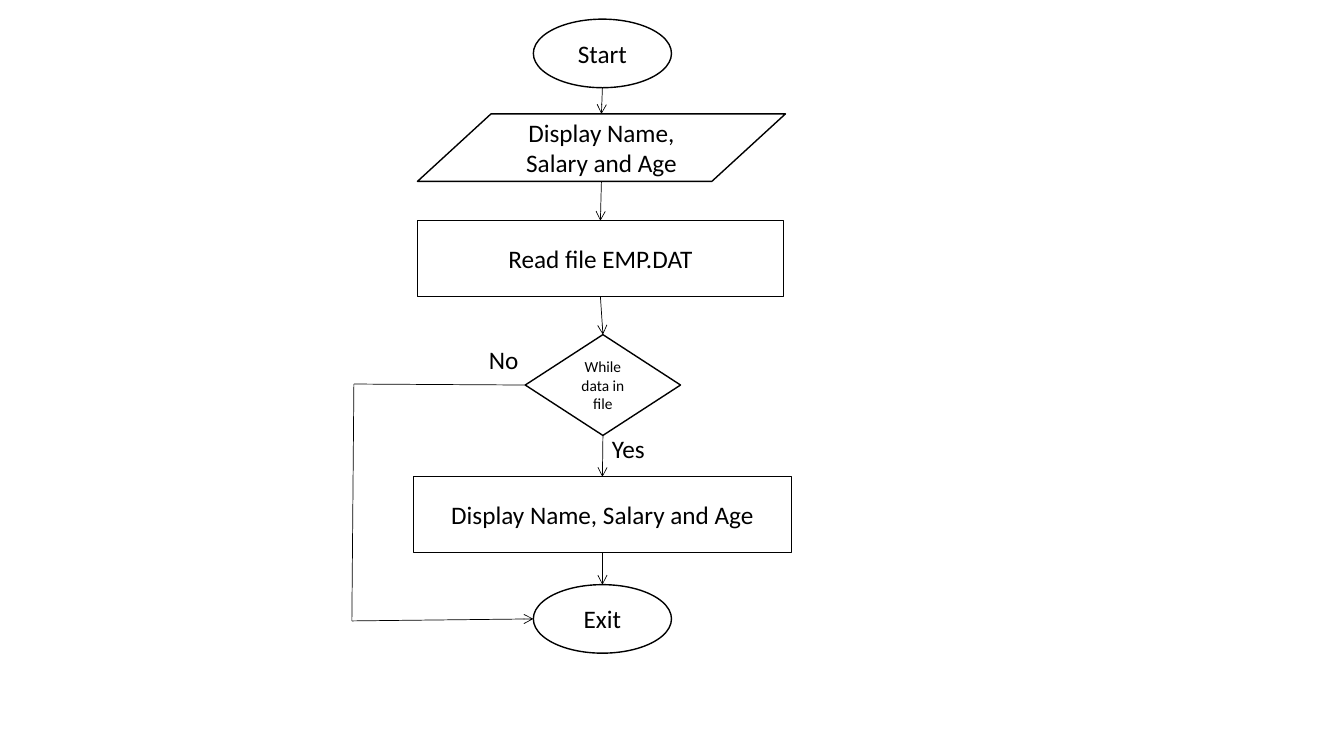
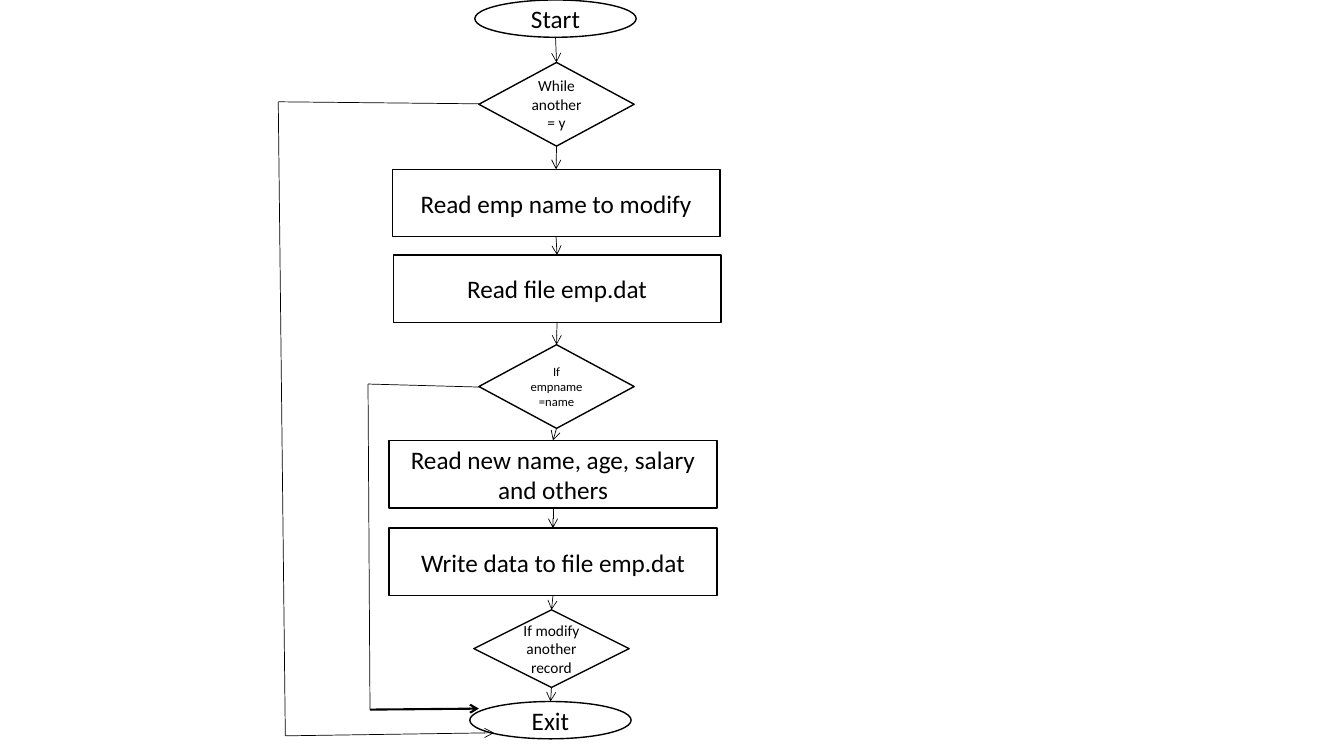
import itertools

import pptx
import pptx.dml.color
import pptx.enum.shapes
import pptx.enum.text
import pptx.oxml.ns
import pptx.util
from lxml import etree

PX = 9144
SLIDE_SIZE = (1333, 750)
BLACK = pptx.dml.color.RGBColor(0, 0, 0)
WHITE = pptx.dml.color.RGBColor(255, 255, 255)
FONT = "Calibri"
TEXT_SIZE = 18
OUTLINE, THIN, THICK = 1, 0.5, 1.5

SHAPES = pptx.enum.shapes.MSO_SHAPE
TERMINAL = SHAPES.OVAL
DATA = SHAPES.FLOWCHART_DATA
PROCESS = SHAPES.RECTANGLE
DECISION = SHAPES.DIAMOND

CHARTS = [
    {
        "steps": [
            (TERMINAL, "Start", 18, (529, 19, 137, 68)),
            (DATA, "Display Name, Salary and Age", 18, (414, 113, 365, 67)),
            (PROCESS, "Read file EMP.DAT", 18, (414, 219, 363, 75)),
            (DECISION, "While data in file", 11, (521, 332, 154, 100)),
            (PROCESS, "Display Name, Salary and Age", 18, (410, 473, 375, 75)),
            (TERMINAL, "Exit", 18, (529, 580, 137, 68)),
        ],
        "bypasses": [
            ([(521, 382), (351, 381), (349, 616), (529, 614)], THIN),
        ],
        "labels": [("No", (475, 337, 50, 40)), ("Yes", (597, 425, 53, 40))],
    },
    {
        "steps": [
            (TERMINAL, "Start", 18, (471, 0, 160, 37)),
            (DECISION, "While another = y", 11, (475, 62, 154, 83)),
            (PROCESS, "Read emp name to modify", 18, (389, 168, 325, 67)),
            (PROCESS, "Read file emp.dat", 18, (390, 253, 325, 67)),
            (DECISION, "If empname=name", 9, (475, 342, 154, 83)),
            (PROCESS, "Read new name, age, salary and others", 18, (386, 437, 325, 67)),
            (PROCESS, "Write data to file emp.dat", 18, (386, 524, 325, 67)),
            (DECISION, "If modify another record", 11, (470, 605, 154, 77)),
            (TERMINAL, "Exit", 18, (466, 696, 160, 37)),
        ],
        "bypasses": [
            ([(475, 103), (276, 101), (283, 730), (490, 727)], THIN),
            ([(475, 384), (365, 381), (367, 704), (475, 703)], THICK),
        ],
        "labels": [],
    },
]


def emu(lengths):
    return [round(length * PX) for length in lengths]


def style_text(paragraph, text, size):
    paragraph.text = text
    paragraph.font.name = FONT
    paragraph.font.size = pptx.util.Pt(size)
    paragraph.font.color.rgb = BLACK


def add_step(slide, kind, text, size, box):
    shape = slide.shapes.add_shape(kind, *emu(box))
    shape.shadow.inherit = False
    shape.fill.solid()
    shape.fill.fore_color.rgb = WHITE
    shape.line.color.rgb = BLACK
    shape.line.width = pptx.util.Pt(OUTLINE)
    shape.text_frame.vertical_anchor = pptx.enum.text.MSO_ANCHOR.MIDDLE
    paragraph = shape.text_frame.paragraphs[0]
    paragraph.alignment = pptx.enum.text.PP_ALIGN.CENTER
    style_text(paragraph, text, size)


def add_line(slide, start, end, width=THIN, arrow=True):
    connector = slide.shapes.add_connector(
        pptx.enum.shapes.MSO_CONNECTOR.STRAIGHT, *emu(start + end))
    connector.line.color.rgb = BLACK
    connector.line.width = pptx.util.Pt(width)
    if arrow:
        outline = connector.line._get_or_add_ln()
        etree.SubElement(outline, pptx.oxml.ns.qn("a:tailEnd"), type="arrow")
    properties = connector._element.spPr
    etree.SubElement(properties, pptx.oxml.ns.qn("a:effectLst"))


def add_bypass(slide, points, last_width):
    *legs, last_leg = itertools.pairwise(points)
    for start, end in legs:
        add_line(slide, start, end, arrow=False)
    add_line(slide, *last_leg, width=last_width)


def add_label(slide, text, box):
    frame = slide.shapes.add_textbox(*emu(box)).text_frame
    frame.word_wrap = False
    frame.auto_size = pptx.enum.text.MSO_AUTO_SIZE.SHAPE_TO_FIT_TEXT
    style_text(frame.paragraphs[0], text, TEXT_SIZE)


def top_centre(box):
    left, top, width, height = box
    return left + width / 2, top


def bottom_centre(box):
    left, top, width, height = box
    return left + width / 2, top + height


def draw_chart(slide, chart):
    for step in chart["steps"]:
        add_step(slide, *step)
    boxes = [step[-1] for step in chart["steps"]]
    for upper, lower in itertools.pairwise(boxes):
        add_line(slide, bottom_centre(upper), top_centre(lower))
    for points, last_width in chart["bypasses"]:
        add_bypass(slide, points, last_width)
    for label in chart["labels"]:
        add_label(slide, *label)


def main():
    presentation = pptx.Presentation()
    presentation.slide_width, presentation.slide_height = emu(SLIDE_SIZE)
    for chart in CHARTS:
        draw_chart(presentation.slides.add_slide(presentation.slide_layouts[6]), chart)
    presentation.save("out.pptx")


if __name__ == "__main__":
    main()
